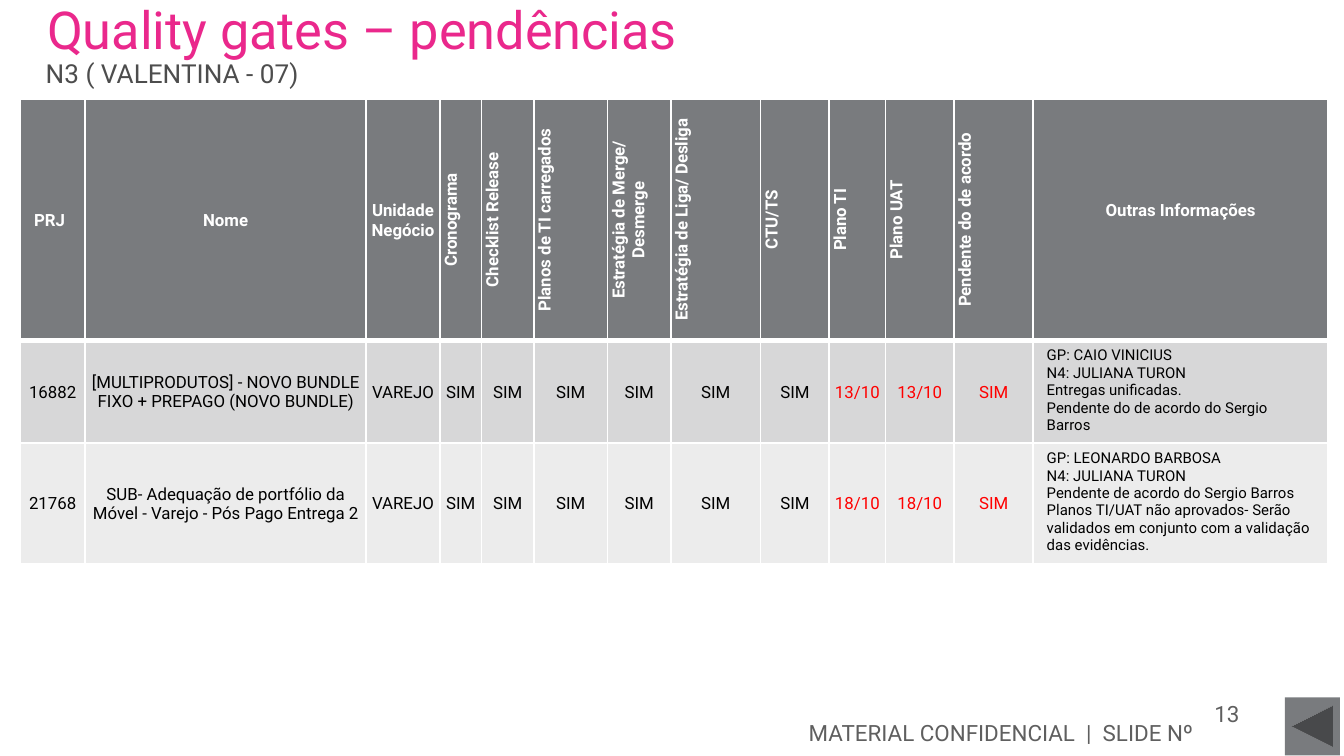
from dataclasses import dataclass

from lxml.etree import SubElement
from pptx import Presentation
from pptx.dml.color import RGBColor
from pptx.enum.shapes import MSO_SHAPE
from pptx.enum.text import MSO_ANCHOR, MSO_AUTO_SIZE, PP_ALIGN
from pptx.oxml import parse_xml
from pptx.oxml.ns import nsdecls, qn
from pptx.util import Pt


@dataclass(frozen=True)
class Theme:
    font: str = "Roboto"
    title: str = "EA288C"
    subtitle: str = "4D4D4D"
    footer: str = "5F5F5F"
    header: str = "797B7E"
    bands: tuple = ("D7D7D8", "ECECEC")
    white: str = "FFFFFF"
    black: str = "000000"
    pending: str = "FF0000"
    title_size: float = 28
    subtitle_size: float = 14
    footer_size: float = 12
    cell_size: float = 9
    details_size: float = 8


THEME = Theme()

# Heading and width of each column; the gate names are turned upwards
COLUMNS = [
    ("PRJ", 34.8), ("Nome", 150.5), ("Unidade Negócio", 39.6),
    ("Cronograma", 22.3), ("Checklist Release", 28),
    ("Planos de TI carregados", 39.6), ("Estratégia de Merge/ Desmerge", 33.8),
    ("Estratégia de Liga/ Desliga", 48.2), ("CTU/TS", 36.7),
    ("Plano TI", 30.2), ("Plano UAT", 36.7), ("Pendente do de acordo", 42.5),
    ("Outras Informações", 157.7),
]
GATES = range(3, 12)
PENDING = range(9, 12)
DETAILS = len(COLUMNS) - 1
ROW_HEIGHTS = (128, 54, 63.5)

PROJECTS = [
    ["16882", "[MULTIPRODUTOS] - NOVO BUNDLE FIXO + PREPAGO (NOVO BUNDLE)",
     "VAREJO", *["SIM"] * 6, "13/10", "13/10", "SIM",
     "GP: CAIO VINICIUS\nN4: JULIANA TURON\nEntregas unificadas.\n"
     "Pendente do de acordo do Sergio Barros"],
    ["21768", "SUB- Adequação de portfólio da Móvel - Varejo - Pós Pago Entrega 2",
     "VAREJO", *["SIM"] * 6, "18/10", "18/10", "SIM",
     "GP: LEONARDO BARBOSA\nN4: JULIANA TURON\n"
     "Pendente de acordo do Sergio Barros\n"
     "Planos TI/UAT não aprovados- Serão validados em conjunto com a "
     "validação das evidências."],
]


def write(frame, text, *, size, color, bold=False, align=PP_ALIGN.LEFT, leading=None):
    """Fill a text frame, one paragraph per line of text."""
    frame.text = text
    for paragraph in frame.paragraphs:
        paragraph.alignment = align
        paragraph.space_before = Pt(0)
        if leading:
            paragraph.line_spacing = Pt(leading)
        for run in paragraph.runs:
            run.font.name = THEME.font
            run.font.size = Pt(size)
            run.font.bold = bold
            run.font.color.rgb = RGBColor.from_string(color)


def add_text(slide, box, text, *, anchor=MSO_ANCHOR.TOP, inset=None, **text_format):
    frame = slide.shapes.add_textbox(*map(Pt, box)).text_frame
    frame.word_wrap = True
    frame.vertical_anchor = anchor
    if inset is not None:
        frame.margin_left = frame.margin_right = Pt(inset)
        frame.margin_top = frame.margin_bottom = Pt(inset)
    write(frame, text, **text_format)


def add_heading(slide, box):
    left, top, width, height = box
    title = slide.shapes.title
    title.left, title.top = Pt(left), Pt(top)
    title.width, title.height = Pt(width), Pt(height)
    title.text_frame.auto_size = MSO_AUTO_SIZE.NONE
    title.text_frame.vertical_anchor = MSO_ANCHOR.TOP
    write(title.text_frame, "Quality gates – pendências", size=THEME.title_size,
          color=THEME.title, leading=24)
    add_text(slide, (left + 6.5, top + 25.2, width - 7, 22.3), "N3 ( VALENTINA - 07)",
             inset=0, size=THEME.subtitle_size, color=THEME.subtitle, leading=18)


def style_cell(cell, fill, bottom=1):
    """Fill a cell and rule its edges in white."""
    cell.fill.solid()
    cell.fill.fore_color.rgb = RGBColor.from_string(fill)
    properties = cell._tc.get_or_add_tcPr()
    edges = (("lnL", 1), ("lnR", 1), ("lnT", 1), ("lnB", bottom))
    for position, (edge, width) in enumerate(edges):
        line = parse_xml(f'<a:{edge} {nsdecls("a")} w="{Pt(width)}"/>')
        solid = SubElement(line, qn("a:solidFill"))
        SubElement(solid, qn("a:srgbClr"), val=THEME.white)
        properties.insert(position, line)


def set_tight_margins(cell):
    cell.vertical_anchor = MSO_ANCHOR.MIDDLE
    cell.margin_left = cell.margin_right = cell.margin_top = Pt(0.7)
    cell.margin_bottom = Pt(0)


def add_gates_table(slide, left, top):
    widths = [width for _, width in COLUMNS]
    table = slide.shapes.add_table(
        len(ROW_HEIGHTS), len(COLUMNS), Pt(left), Pt(top),
        Pt(sum(widths)), Pt(sum(ROW_HEIGHTS))).table
    for column, width in zip(table.columns, widths):
        column.width = Pt(width)
    for row, height in zip(table.rows, ROW_HEIGHTS):
        row.height = Pt(height)

    # Header row
    for index, (heading, _) in enumerate(COLUMNS):
        cell = table.cell(0, index)
        style_cell(cell, THEME.header, bottom=3)
        set_tight_margins(cell)
        if index in GATES:
            cell._tc.get_or_add_tcPr().set("vert", "vert270")
        write(cell.text_frame, heading, size=THEME.cell_size, color=THEME.white,
              bold=True, align=PP_ALIGN.CENTER if index else PP_ALIGN.LEFT)
    table.cell(0, 0).margin_left = Pt(7.5)
    table.cell(0, DETAILS).margin_bottom = Pt(10)

    # Project rows
    for row, (project, band) in enumerate(zip(PROJECTS, THEME.bands), start=1):
        for index, value in enumerate(project):
            cell = table.cell(row, index)
            style_cell(cell, band)
            if index == DETAILS:
                write(cell.text_frame, value, size=THEME.details_size, color=THEME.black)
                continue
            set_tight_margins(cell)
            write(cell.text_frame, value, size=THEME.cell_size, align=PP_ALIGN.CENTER,
                  color=THEME.pending if index in PENDING else THEME.black)


def add_footer(slide, box):
    left, top, width, height = box
    footer_format = dict(anchor=MSO_ANCHOR.MIDDLE, align=PP_ALIGN.RIGHT,
                         size=THEME.footer_size, color=THEME.footer)
    add_text(slide, (left, top + 10, 613.5, 17.3),
             "MATERIAL CONFIDENCIAL  |  SLIDE Nº", **footer_format)
    add_text(slide, (left + 603.4, top, 34.6, 17.3), "13", **footer_format)

    # Back button in the corner
    button_width = 29.5
    back = slide.shapes.add_shape(
        MSO_SHAPE.ACTION_BUTTON_BACK_OR_PREVIOUS, Pt(left + width - button_width),
        Pt(top), Pt(button_width), Pt(height))
    back.shadow.inherit = False
    back.fill.solid()
    back.fill.fore_color.rgb = RGBColor.from_string(THEME.header)
    back.line.fill.background()


def main():
    presentation = Presentation()
    presentation.slide_width, presentation.slide_height = Pt(720), Pt(405)
    slide = presentation.slides.add_slide(presentation.slide_layouts[5])
    add_heading(slide, (18, 4.3, 697.7, 37.4))
    add_gates_table(slide, 10.8, 53.3)
    add_footer(slide, (33.1, 373.7, 684.7, 31))
    presentation.save("out.pptx")


if __name__ == "__main__":
    main()
